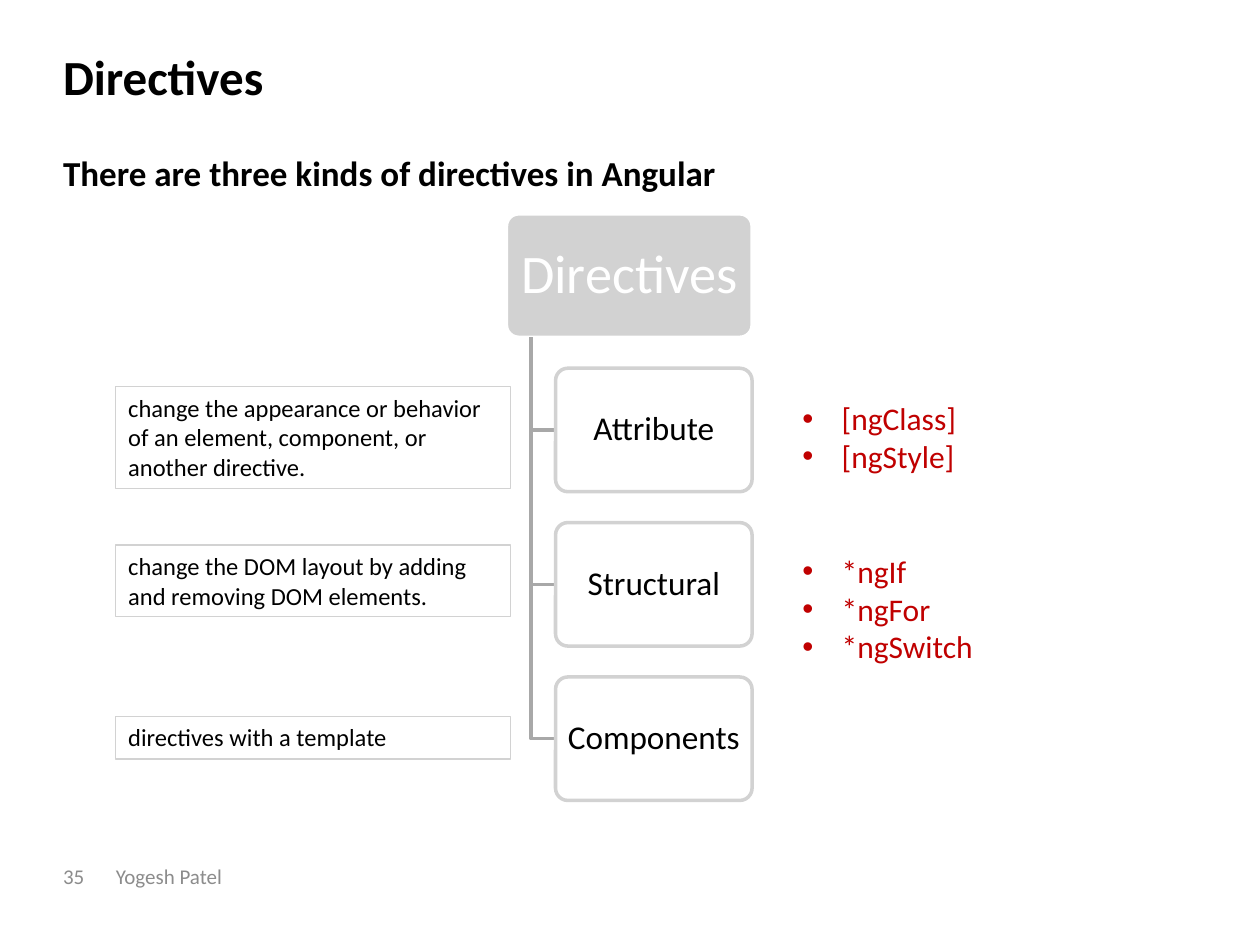
from lxml.etree import SubElement
from pptx import Presentation
from pptx.dml.color import RGBColor
from pptx.enum.shapes import MSO_SHAPE as Shape
from pptx.enum.text import MSO_ANCHOR as Anchor, MSO_AUTO_SIZE as AutoSize, PP_ALIGN as Align
from pptx.oxml.ns import qn
from pptx.util import Pt

FONT = "Calibri"
BLACK = RGBColor(0x00, 0x00, 0x00)
WHITE = RGBColor(0xFF, 0xFF, 0xFF)
LIGHT_GRAY = RGBColor(0xD2, 0xD2, 0xD2)
BRANCH_GRAY = RGBColor(0xA8, 0xA8, 0xA8)
FOOTER_GRAY = RGBColor(0x8C, 0x8C, 0x8C)
RED = RGBColor(0xC0, 0x00, 0x00)

TITLE_BOX = (36, 26.6, 648, 59.8)
SUBTITLE_BOX = (36, 86.4, 648, 36)
TREE_BOX = (289.4, 122.2, 140.4, 335.2)
FOOTER_BOX = (36, 486, 519, 28.8)

KINDS = ["Attribute", "Structural", "Components"]
DESCRIPTIONS = [
    ("change the appearance or behavior of an element, component, or another directive.",
     (66.2, 221, 225.4, 58.3)),
    ("change the DOM layout by adding and removing DOM elements.",
     (66.2, 311.5, 225.4, 41)),
    ("directives with a template", (66.2, 409.3, 225.4, 24.5)),
]
EXAMPLES = [
    (["[ngClass]", "[ngStyle]"], (451.4, 224.6, 103, 51)),
    (["*ngIf", "*ngFor", "*ngSwitch"], (451.4, 311.8, 113, 72.7)),
]


def points(box):
    return [Pt(length) for length in box]


def set_insets(frame, horizontal, vertical):
    frame.margin_left = frame.margin_right = Pt(horizontal)
    frame.margin_top = frame.margin_bottom = Pt(vertical)


def write(frame, lines, size, color, bold=False, align=Align.LEFT):
    frame.text = "\n".join(lines)
    for paragraph in frame.paragraphs:
        paragraph.alignment = align
        font = paragraph.font
        font.name, font.size, font.bold = FONT, Pt(size), bold
        font.color.rgb = color


def set_bullet(paragraph, char, indent):
    """Hang the paragraph on a bullet, or remove the bullet if char is None."""
    props = paragraph._p.get_or_add_pPr()
    props.set("marL", str(Pt(indent)))
    props.set("indent", str(-Pt(indent)))
    if char:
        SubElement(props, qn("a:buFont"), typeface="Arial")
        SubElement(props, qn("a:buChar"), char=char)
    else:
        SubElement(props, qn("a:buNone"))
    # Bullet elements must come before the default run properties
    for run_defaults in props.findall(qn("a:defRPr")):
        props.append(run_defaults)


def fill_heading(heading, box, text, size):
    heading.left, heading.top, heading.width, heading.height = points(box)
    frame = heading.text_frame
    frame.auto_size = AutoSize.NONE
    frame.vertical_anchor = Anchor.TOP
    set_insets(frame, 0, 0)
    write(frame, [text], size, BLACK, bold=True)
    frame.paragraphs[0].space_before = Pt(0)
    set_bullet(frame.paragraphs[0], None, 0)


def add_node(slide, box, label, size, fill, line, color, inset):
    node = slide.shapes.add_shape(Shape.ROUNDED_RECTANGLE, *points(box))
    node.adjustments[0] = 0.1
    node.shadow.inherit = False
    node.fill.solid()
    node.fill.fore_color.rgb = fill
    node.line.color.rgb = line
    node.line.width = Pt(2)
    frame = node.text_frame
    frame.word_wrap = True
    frame.vertical_anchor = Anchor.MIDDLE
    set_insets(frame, inset, inset)
    write(frame, [label], size, color, align=Align.CENTER)
    frame.paragraphs[0].line_spacing = 0.9


def add_branch(slide, trunk_x, top, node_x, middle):
    builder = slide.shapes.build_freeform(Pt(trunk_x), Pt(top))
    builder.add_line_segments(
        [(Pt(trunk_x), Pt(middle)), (Pt(node_x), Pt(middle))], close=False)
    branch = builder.convert_to_shape()
    branch.shadow.inherit = False
    branch.fill.background()
    branch.line.color.rgb = BRANCH_GRAY
    branch.line.width = Pt(2)


def add_tree(slide, box):
    """Root on top; kinds stacked below, a quarter node height apart."""
    left, top, width, height = box
    count = len(KINDS)
    node_height = height / (1 + count * 1.25)
    pitch = node_height * 1.25
    trunk_x, node_x = left + width * 0.1, left + width * 0.2
    add_node(slide, (left, top, width, node_height), "Directives", 31,
             LIGHT_GRAY, WHITE, WHITE, 5)
    for row, kind in enumerate(KINDS, start=1):
        y = top + row * pitch
        add_branch(slide, trunk_x, top + node_height, node_x, y + node_height / 2)
        add_node(slide, (node_x, y, width * 0.8, node_height), kind, 19,
                 WHITE, LIGHT_GRAY, BLACK, 4)


def add_description(slide, box, text):
    description = slide.shapes.add_shape(Shape.RECTANGLE, *points(box))
    description.shadow.inherit = False
    description.fill.background()
    description.line.color.rgb = LIGHT_GRAY
    description.line.width = Pt(0.75)
    frame = description.text_frame
    frame.word_wrap = True
    frame.auto_size = AutoSize.SHAPE_TO_FIT_TEXT
    frame.vertical_anchor = Anchor.TOP
    write(frame, [text], 14, BLACK)


def add_examples(slide, box, names):
    frame = slide.shapes.add_textbox(*points(box)).text_frame
    frame.word_wrap = False
    frame.auto_size = AutoSize.SHAPE_TO_FIT_TEXT
    write(frame, names, 18, RED)
    for paragraph in frame.paragraphs:
        set_bullet(paragraph, "•", 22.5)


def add_footer(slide, box):
    left, top, width, height = box
    number_width = 30.2
    for text, x, w in [("Yogesh Patel", left + number_width, width - number_width),
                       ("35", left, number_width)]:
        frame = slide.shapes.add_textbox(*points((x, top, w, height))).text_frame
        frame.word_wrap = True
        frame.vertical_anchor = Anchor.MIDDLE
        set_insets(frame, 0, 0)
        write(frame, [text], 12, FOOTER_GRAY)


def main():
    deck = Presentation()
    deck.slide_width, deck.slide_height = Pt(720), Pt(540)
    slide = deck.slides.add_slide(deck.slide_layouts[1])

    # Headings
    fill_heading(slide.shapes.title, TITLE_BOX, "Directives", 28)
    fill_heading(slide.placeholders[1], SUBTITLE_BOX,
                 "There are three kinds of directives in Angular", 20)

    # Tree of directive kinds, with footer and side notes
    add_tree(slide, TREE_BOX)
    add_footer(slide, FOOTER_BOX)
    for names, box in EXAMPLES:
        add_examples(slide, box, names)
    for text, box in DESCRIPTIONS:
        add_description(slide, box, text)

    deck.save("out.pptx")


if __name__ == "__main__":
    main()
